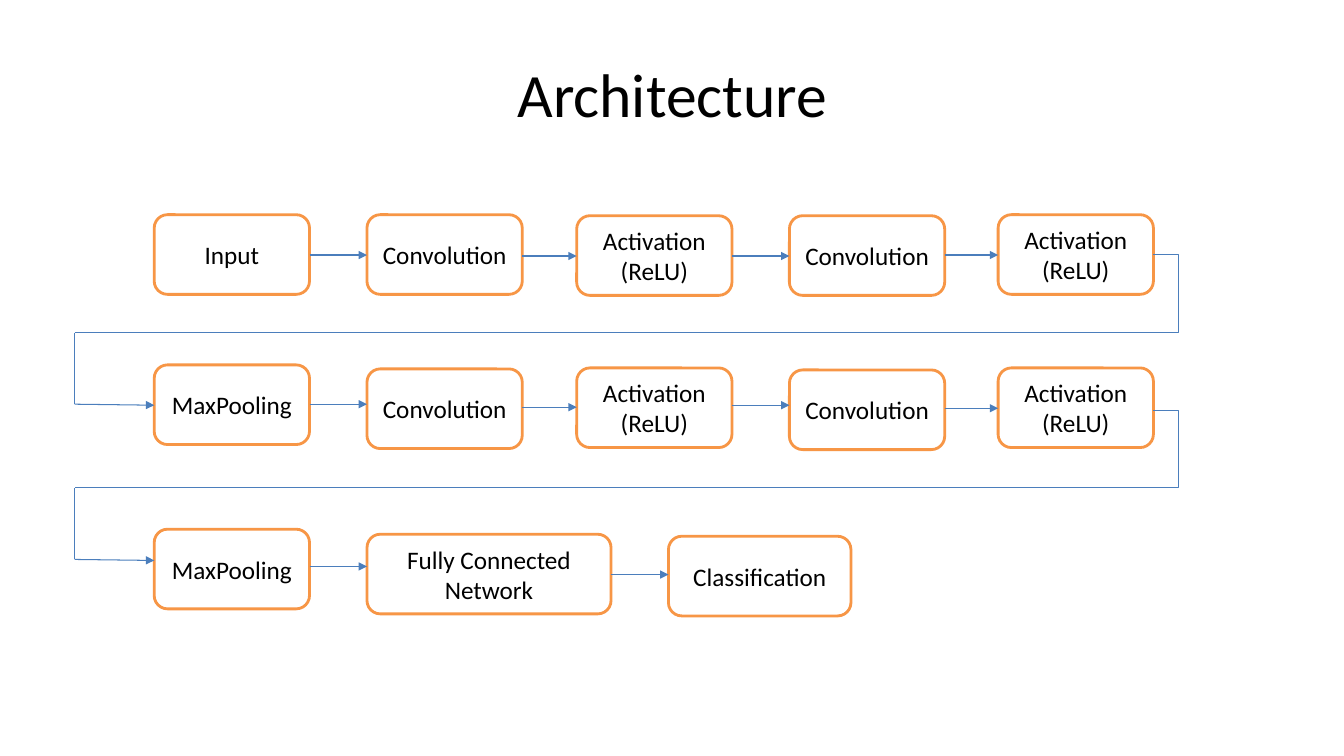
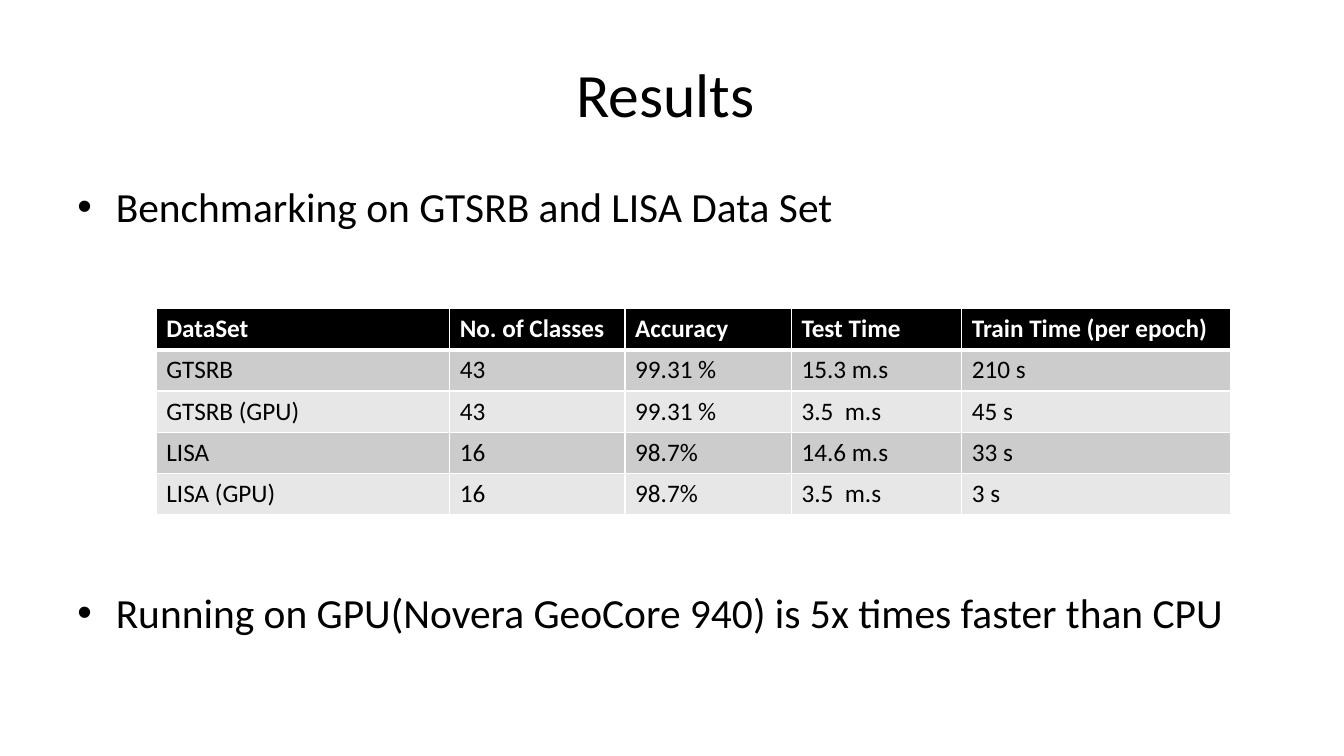
import dataclasses

import pptx
import pptx.dml.color
import pptx.enum.dml
import pptx.enum.shapes
import pptx.enum.text
import pptx.oxml
import pptx.oxml.ns
import pptx.util
from lxml import etree

Inches = pptx.util.Inches
Pt = pptx.util.Pt
ALIGN = pptx.enum.text.PP_ALIGN
ANCHOR = pptx.enum.text.MSO_ANCHOR
CONNECTOR = pptx.enum.shapes.MSO_CONNECTOR
qn = pptx.oxml.ns.qn


@dataclasses.dataclass(frozen=True)
class Theme:
    font: str = "Calibri"
    text: str = "000000"
    paper: str = "FFFFFF"
    box_line: str = "F79646"
    arrow: str = "4B7EBC"
    header: str = "000000"
    bands: tuple = ("CCCCCC", "E7E7E7")
    title_size: float = 44
    bullet_size: float = 29.6
    label_size: float = 18
    box_width: float = 2
    arrow_width: float = 0.75


THEME = Theme()
TITLE_BOX = (0.67, 0.3, 12, 1.25)
BODY_BOX = (0.67, 1.75, 12, 4.95)


# Shared helpers

def rgb(value):
    return pptx.dml.color.RGBColor.from_string(value)


def add_run(p, text, size, color=THEME.text, bold=False):
    r = p.add_run()
    r.text = text
    r.font.name = THEME.font
    r.font.size = Pt(size)
    r.font.bold = bold
    r.font.color.rgb = rgb(color)


def add_text_box(s, box):
    tf = s.shapes.add_textbox(*map(Inches, box)).text_frame
    tf.word_wrap = True
    return tf


def add_title(s, text, box=TITLE_BOX):
    tf = add_text_box(s, box)
    tf.vertical_anchor = ANCHOR.MIDDLE
    p = tf.paragraphs[0]
    p.alignment = ALIGN.CENTER
    add_run(p, text, THEME.title_size)


def add_slide(prs, title):
    s = prs.slides.add_slide(prs.slide_layouts[6])
    add_title(s, title)
    return s


# Flow diagram

COLUMNS = (0.79, 2.9, 4.98, 7.09, 9.16)  # lefts of the boxes within the diagram
BOX_W, BOX_H = 1.54, 0.79

# Each row: (label, column left, top, width), then the heights of its arrows
FLOW = (
    (list(zip(("Input", "Convolution", "Activation (ReLU)", "Convolution",
               "Activation (ReLU)"),
              COLUMNS, (0, 0, 0.01, 0.01, 0), [BOX_W] * 5)),
     (0.4, 0.41, 0.41, 0.4)),
    (list(zip(("MaxPooling", "Convolution", "Activation (ReLU)", "Convolution",
               "Activation (ReLU)"),
              COLUMNS, (1.49, 1.53, 1.52, 1.54, 1.52), [BOX_W] * 5)),
     (1.88, 1.91, 1.89, 1.92)),
    (list(zip(("MaxPooling", "Fully Connected Network", "Classification"),
              (0.79, 2.9, 5.89), (3.12, 3.17, 3.19), (BOX_W, 2.42, 1.81))),
     (3.49, 3.57)),
)
WRAP_TOPS = (0.4, 1.94)  # where the line leaves a full row


def add_step(s, label, box):
    sp = s.shapes.add_shape(pptx.enum.shapes.MSO_SHAPE.ROUNDED_RECTANGLE,
                            *map(Inches, box))
    sp.shadow.inherit = False
    sp.fill.solid()
    sp.fill.fore_color.rgb = rgb(THEME.paper)
    sp.line.color.rgb = rgb(THEME.box_line)
    sp.line.width = Pt(THEME.box_width)
    tf = sp.text_frame
    tf.vertical_anchor = ANCHOR.MIDDLE
    p = tf.paragraphs[0]
    p.alignment = ALIGN.CENTER
    add_run(p, label, THEME.label_size)


def add_line(s, start, end, head=False, bend=None):
    kind = CONNECTOR.STRAIGHT if bend is None else CONNECTOR.ELBOW
    c = s.shapes.add_connector(kind, *map(Inches, start + end))
    c.line.color.rgb = rgb(THEME.arrow)
    c.line.width = Pt(THEME.arrow_width)
    props = c._element.spPr
    if head:
        etree.SubElement(props.find(qn("a:ln")), qn("a:tailEnd"), type="triangle")
    if bend is not None:
        guides = props.find(qn("a:prstGeom")).get_or_add_avLst()
        etree.SubElement(guides, qn("a:gd"), name="adj1", fmla=f"val {bend}")
    etree.SubElement(props, qn("a:effectLst"))


def add_wrap(s, left, top, right, next_left):
    """Lead from the end of one row back to the start of the next."""
    turn, low = top + 0.77, top + 1.48
    add_line(s, (right, top), (left, turn), bend=-2300)
    add_line(s, (left, turn), (left, low))
    add_line(s, (left, low), (next_left, low + 0.01), head=True)


def add_flow(s, left, top):
    for steps, arrow_tops in FLOW:
        for label, x, y, w in steps:
            add_step(s, label, (left + x, top + y, w, BOX_H))
        for (_, x, _, w), following, y in zip(steps, steps[1:], arrow_tops):
            add_line(s, (left + x + w, top + y),
                     (left + following[1], top + y), head=True)
    for y in WRAP_TOPS:
        add_wrap(s, left, top + y, left + COLUMNS[-1] + BOX_W, left + COLUMNS[0])


# Bullets and results table

BULLETS = (  # text, space before in points
    ("Benchmarking on GTSRB and LISA Data Set", 0),
    ("Running on GPU(Novera GeoCore 940) is 5x times faster than CPU", 254.6),
)
RESULTS = (
    ("DataSet", "No. of Classes", "Accuracy", "Test Time", "Train Time (per epoch)"),
    ("GTSRB", "43", "99.31 %", "15.3 m.s", "210 s"),
    ("GTSRB (GPU)", "43", "99.31 %", "3.5  m.s", "45 s"),
    ("LISA", "16", "98.7%", "14.6 m.s", "33 s"),
    ("LISA (GPU)", "16", "98.7%", "3.5  m.s", "3 s"),
)
COL_WIDTHS = (2.91, 1.74, 1.65, 1.69, 2.67)
ROW_H = 0.41


def add_bullets(s, bullets, box):
    tf = add_text_box(s, box)
    for i, (text, gap) in enumerate(bullets):
        p = tf.add_paragraph() if i else tf.paragraphs[0]
        p.space_before = Pt(gap)
        props = p._p.get_or_add_pPr()
        props.set("marL", str(Inches(0.38)))
        props.set("indent", str(Inches(-0.38)))
        etree.SubElement(props, qn("a:buFont"), typeface="Arial")
        etree.SubElement(props, qn("a:buChar"), char="•")
        add_run(p, text, THEME.bullet_size)


def set_borders(cell, widths):
    props = cell._tc.get_or_add_tcPr()
    for i, (side, width) in enumerate(widths.items()):
        ln = etree.Element(qn(f"a:ln{side}"), w=str(Pt(width)))
        fill = etree.SubElement(ln, qn("a:solidFill"))
        etree.SubElement(fill, qn("a:srgbClr"), val=THEME.paper)
        props.insert(i, ln)


def add_results(s, left, top):
    frame = s.shapes.add_table(len(RESULTS), len(COL_WIDTHS), Inches(left), Inches(top),
                               Inches(sum(COL_WIDTHS)), Inches(ROW_H * len(RESULTS)))
    table = frame.table
    for col, width in zip(table.columns, COL_WIDTHS):
        col.width = Inches(width)
    for i, values in enumerate(RESULTS):
        table.rows[i].height = Inches(ROW_H)
        header = i == 0
        for j, value in enumerate(values):
            cell = table.cell(i, j)
            cell.fill.solid()
            cell.fill.fore_color.rgb = rgb(
                THEME.header if header else THEME.bands[(i - 1) % 2])
            set_borders(cell, {"L": 1, "R": 1, "T": 3 if i == 1 else 1,
                               "B": 3 if header else 1})
            add_run(cell.text_frame.paragraphs[0], value, THEME.label_size,
                    THEME.paper if header else THEME.text, header)


# Slides

def architecture_slide(prs):
    s = add_slide(prs, "Architecture")
    add_flow(s, 0.74, 2.13)


def results_slide(prs):
    s = add_slide(prs, "Results ")
    add_bullets(s, BULLETS, BODY_BOX)
    add_results(s, 1.55, 3.06)


def main():
    prs = pptx.Presentation()
    prs.slide_width, prs.slide_height = Inches(13.33), Inches(7.5)
    architecture_slide(prs)
    results_slide(prs)
    prs.save("out.pptx")


if __name__ == "__main__":
    main()
